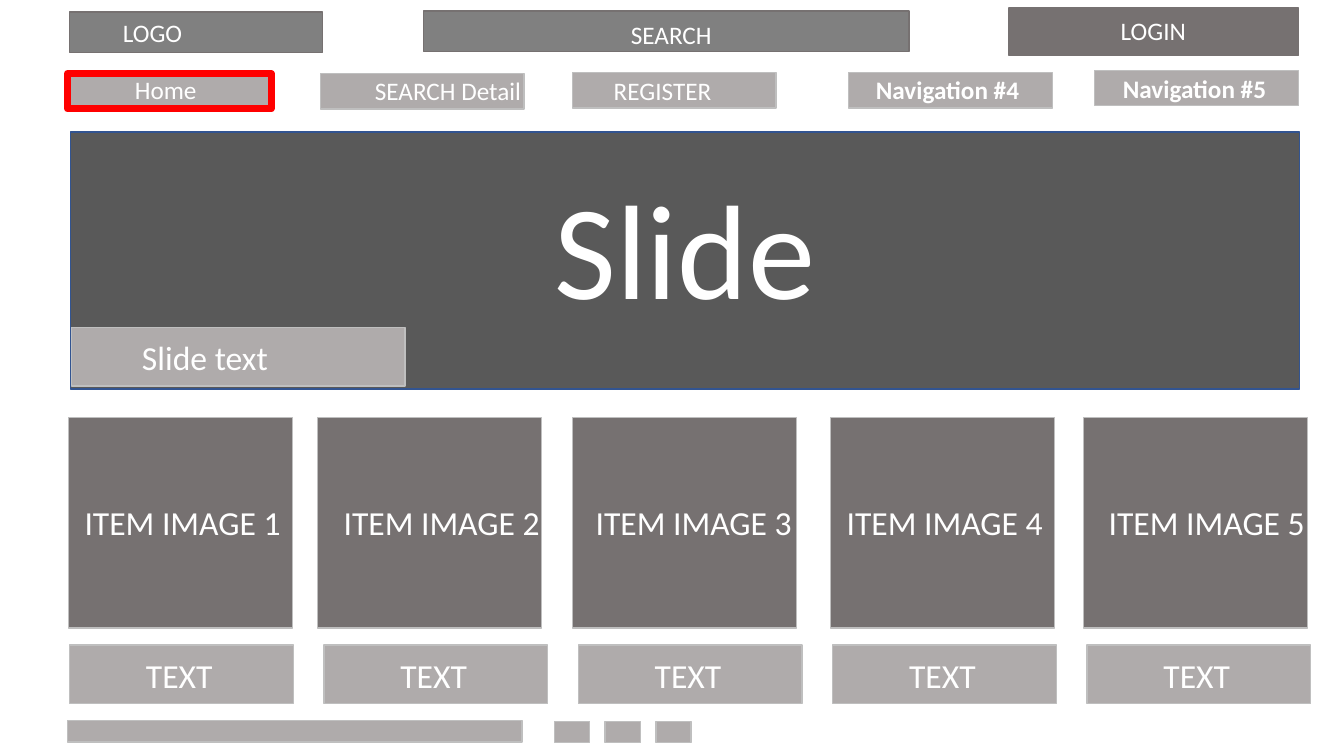
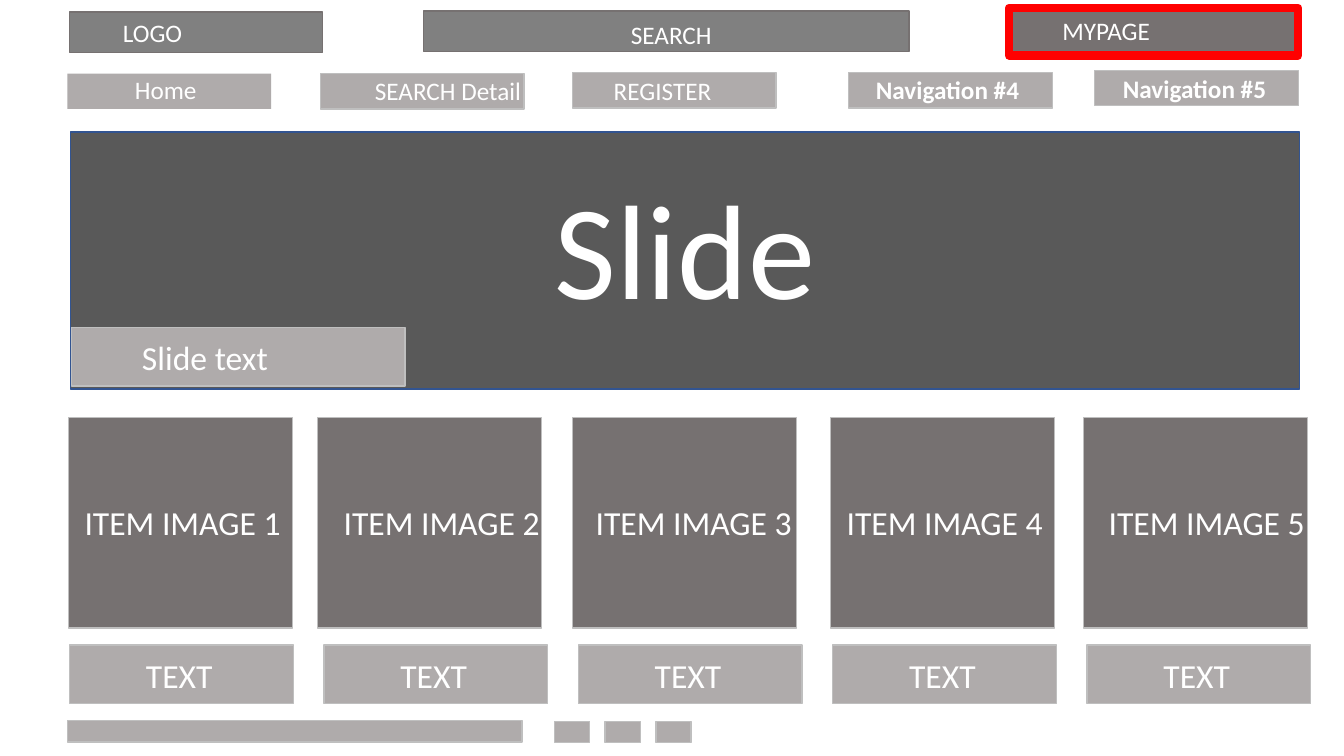
"""Build two wireframe slides of a shop home page, before and after login."""
import pptx
import pptx.dml.color
import pptx.enum.shapes
import pptx.enum.text
import pptx.util

RGBColor = pptx.dml.color.RGBColor
WHITE = RGBColor(0xFF, 0xFF, 0xFF)
LIGHT_GRAY = RGBColor(0xAF, 0xAB, 0xAB)
BORDER_GRAY = RGBColor(0xBF, 0xBF, 0xBF)
MID_GRAY = RGBColor(0x80, 0x80, 0x80)
WARM_GRAY = RGBColor(0x76, 0x71, 0x71)
DARK_GRAY = RGBColor(0x59, 0x59, 0x59)
BLUE = RGBColor(0x32, 0x54, 0x91)
RED = RGBColor(0xFF, 0x00, 0x00)

FONT = "Calibri"
SLIDE_WIDTH = pptx.util.Inches(13.33)
SLIDE_HEIGHT = pptx.util.Inches(7.5)
COLUMN = SLIDE_WIDTH / 40
ROW = SLIDE_HEIGHT / 30
LABEL_ROWS = {18: 1.6, 24: 2}

NAVIGATION = [
    ("Home", 2.01, 2.92, 3.72, 2.76, 2.46, False),
    ("SEARCH Detail", 9.54, 2.92, 10.86, 2.8, 5.01, False),
    ("REGISTER", 17.04, 2.88, 17.97, 2.8, 3.54, False),
    ("Navigation #4", 25.26, 2.88, 25.77, 2.76, 4.92, True),
    ("Navigation #5", 32.58, 2.8, 33.12, 2.72, 4.92, True),
]
ITEM_LEFTS = [(2.04, 2.22), (9.45, 9.93), (17.04, 17.43), (24.72, 24.9), (32.25, 32.7)]
CAPTION_LEFT, CAPTION_PITCH, CAPTION_TOP = 2.07, 7.57, 25.6
BUTTON_LEFT, BUTTON_PITCH = 16.5, 1.51


def on_grid(left, top, width, height):
    """Turn grid columns and rows into slide lengths."""
    return [round(length) for length in (left * COLUMN, top * ROW, width * COLUMN, height * ROW)]


def write_text(shape, text, size=18, bold=False, align=pptx.enum.text.PP_ALIGN.LEFT):
    """Write one formatted paragraph into a shape."""
    paragraph = shape.text_frame.paragraphs[0]
    paragraph.alignment = align
    run = paragraph.add_run()
    run.text = text
    run.font.name = FONT
    run.font.size = pptx.util.Pt(size)
    run.font.bold = bold
    run.font.color.rgb = WHITE


def add_block(slide, left, top, width, height, fill=LIGHT_GRAY, line=BORDER_GRAY, weight=1):
    """Add a filled rectangle, without an outline when line is None."""
    shape = slide.shapes.add_shape(
        pptx.enum.shapes.MSO_SHAPE.RECTANGLE, *on_grid(left, top, width, height))
    shape.shadow.inherit = False
    shape.fill.solid()
    shape.fill.fore_color.rgb = fill
    if line is None:
        shape.line.fill.background()
    else:
        shape.line.color.rgb = line
        shape.line.width = pptx.util.Pt(weight)
    return shape


def add_label(slide, text, left, top, width, size=18, bold=False, wrap=True):
    """Add a text box as tall as one line of its size."""
    box = slide.shapes.add_textbox(*on_grid(left, top, width, LABEL_ROWS[size]))
    box.text_frame.word_wrap = wrap
    box.text_frame.auto_size = pptx.enum.text.MSO_AUTO_SIZE.SHAPE_TO_FIT_TEXT
    write_text(box, text, size=size, bold=bold)


def add_header(slide, account, account_left, account_width, account_outline):
    """Add the logo, search and account blocks."""
    add_block(slide, 2.07, 0.48, 7.53, 1.6, fill=MID_GRAY, line=WARM_GRAY)
    add_label(slide, "LOGO", 3.36, 0.48, 7.98)
    add_block(slide, 12.6, 0.44, 14.46, 1.6, fill=MID_GRAY, line=WARM_GRAY)
    add_label(slide, "SEARCH", 18.48, 0.56, 7.98)
    add_block(slide, 30.03, 0.32, 8.61, 1.88, fill=WARM_GRAY, **account_outline)
    add_label(slide, account, account_left, 0.4, account_width)


def add_navigation(slide, home_outline):
    """Add the row of navigation buttons."""
    for name, left, top, label_left, label_top, label_width, bold in NAVIGATION:
        outline = home_outline if name == "Home" else {}
        add_block(slide, left, top, 6.06, 1.4, **outline)
        add_label(slide, name, label_left, label_top, label_width, bold=bold, wrap=False)


def add_banner(slide):
    """Add the large banner with its caption."""
    banner = add_block(slide, 2.1, 5.24, 36.57, 10.2, fill=DARK_GRAY, line=BLUE)
    banner.text_frame.vertical_anchor = pptx.enum.text.MSO_ANCHOR.MIDDLE
    banner.text_frame.margin_bottom = pptx.util.Inches(0.35)
    write_text(banner, "Slide", size=96, align=pptx.enum.text.PP_ALIGN.CENTER)
    add_block(slide, 2.13, 13, 9.93, 2.32)
    add_label(slide, "Slide text", 3.93, 13.16, 7.89, size=24)


def add_items(slide):
    """Add the item images with a caption below each."""
    for index, (image_left, label_left) in enumerate(ITEM_LEFTS):
        add_block(slide, image_left, 16.56, 6.66, 8.36, fill=WARM_GRAY)
        add_label(slide, f"ITEM IMAGE {index + 1}", label_left, 19.72, 6.78, size=24)
        left = CAPTION_LEFT + index * CAPTION_PITCH
        add_block(slide, left, CAPTION_TOP, 6.66, 2.32)
        add_label(slide, "TEXT", left + 1.98, CAPTION_TOP + 0.18, 4.86, size=24)


def add_footer(slide):
    """Add the footer bar and its three small buttons."""
    add_block(slide, 2.01, 28.6, 13.53, 0.84)
    for index in range(3):
        add_block(slide, BUTTON_LEFT + index * BUTTON_PITCH, 28.62, 1.05, 0.84)


def add_page(presentation, account, account_left, account_width, account_outline, home_outline):
    """Add one wireframe page."""
    slide = presentation.slides.add_slide(presentation.slide_layouts[6])
    add_header(slide, account, account_left, account_width, account_outline)
    add_navigation(slide, home_outline)
    add_banner(slide)
    add_items(slide)
    add_footer(slide)


def main():
    """Build and save the presentation."""
    presentation = pptx.Presentation()
    presentation.slide_width = SLIDE_WIDTH
    presentation.slide_height = SLIDE_HEIGHT
    add_page(presentation, "LOGIN", 33.06, 2.58,
             account_outline={"line": WARM_GRAY}, home_outline={"line": RED, "weight": 5})
    add_page(presentation, "MYPAGE", 31.32, 4.98,
             account_outline={"line": RED, "weight": 6}, home_outline={"line": None})
    presentation.save("out.pptx")


main()
